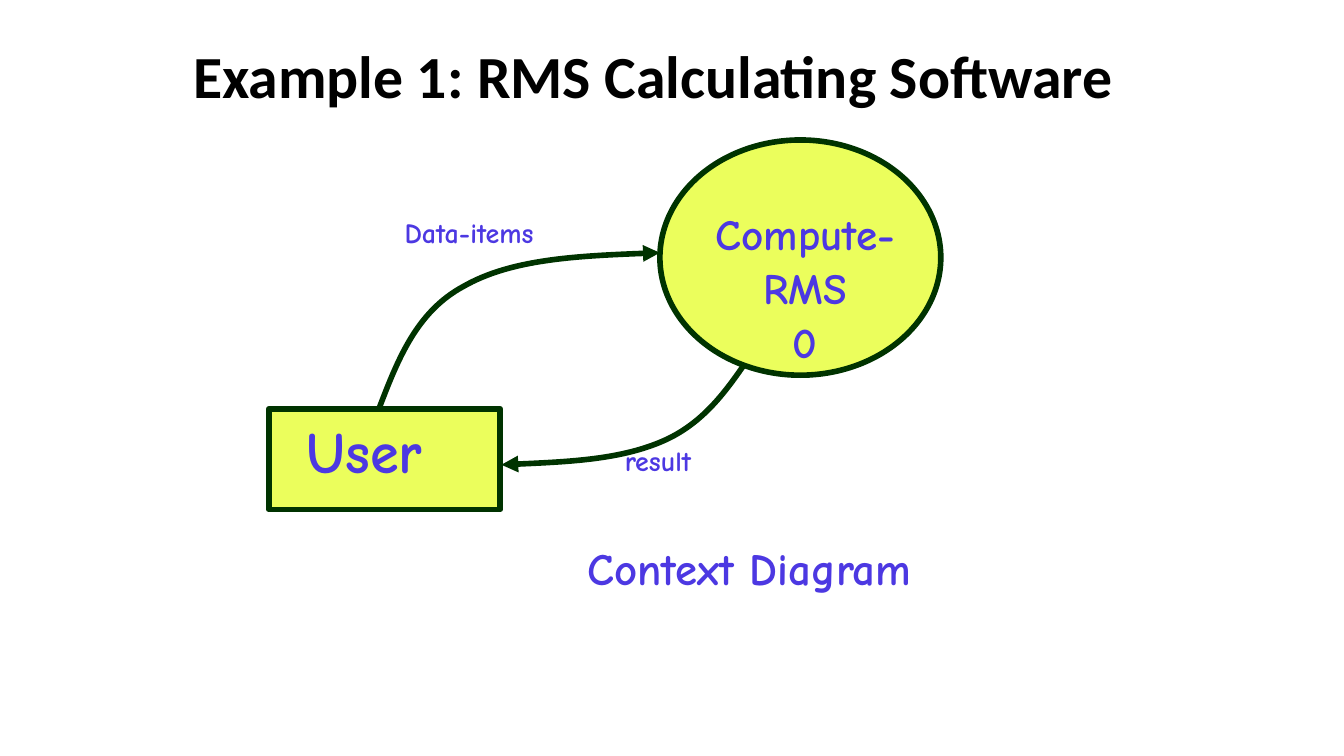
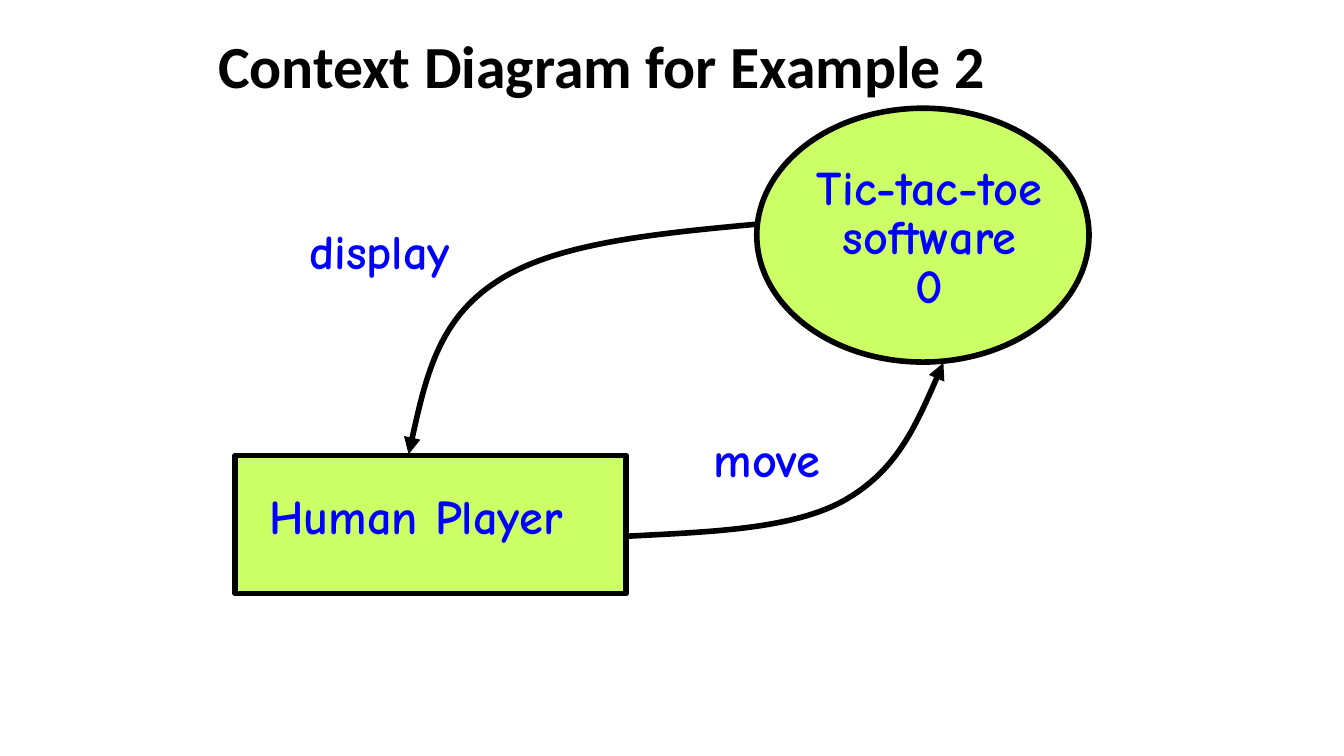
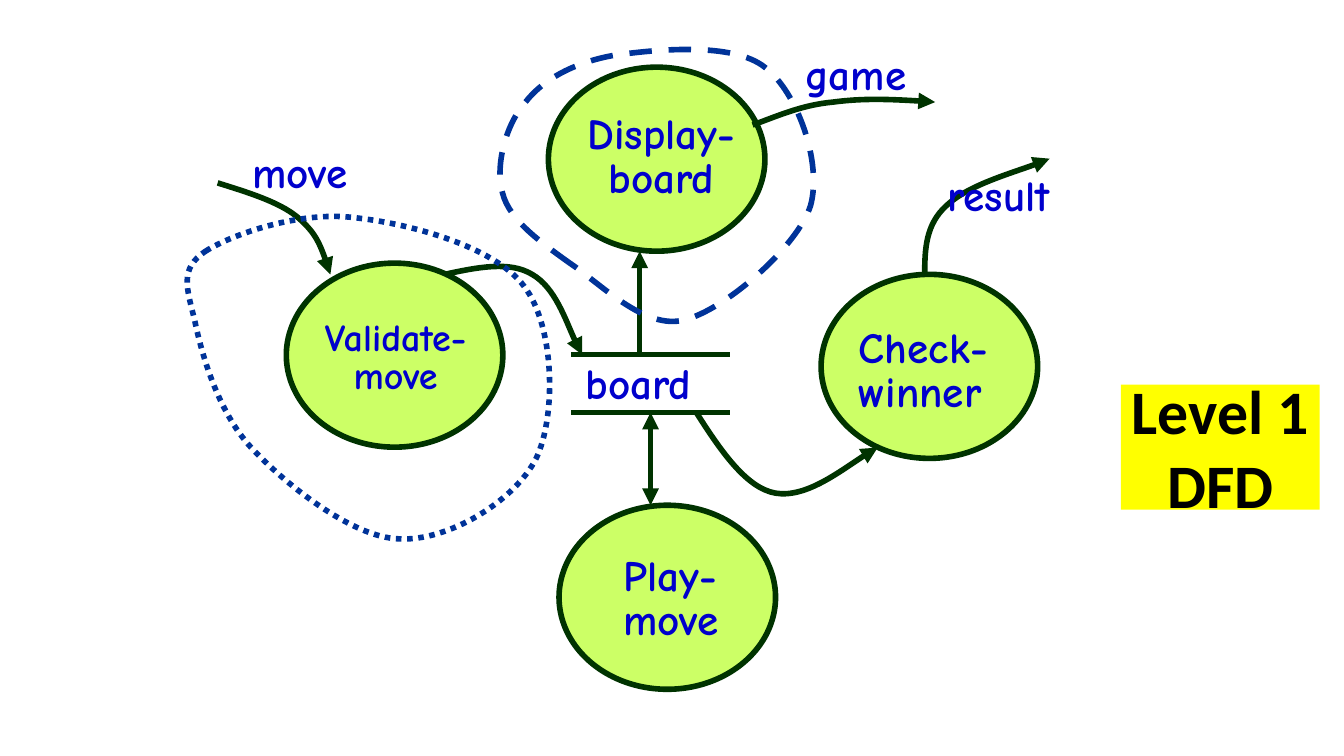
from dataclasses import dataclass

from lxml.etree import SubElement
from pptx import Presentation
from pptx.dml.color import RGBColor
from pptx.enum.dml import MSO_LINE
from pptx.enum.shapes import MSO_CONNECTOR, MSO_SHAPE
from pptx.enum.text import MSO_ANCHOR, MSO_AUTO_SIZE, PP_ALIGN
from pptx.oxml.ns import qn
from pptx.util import Pt

COLORS = {
    "black": "000000", "forest": "003300", "navy": "003399",
    "lemon": "EBFE5C", "lime": "CCFF66", "yellow": "FFFF00",
    "violet": "4C38E2", "blue": "0000FF", "ink": "0000CC",
}
TITLE_FONT, LABEL_FONT = "Calibri", "Comic Neue"
LINE_WIDTH = 3
LEFT, CENTER = PP_ALIGN.LEFT, PP_ALIGN.CENTER


def rgb(name):
    return RGBColor.from_string(COLORS[name])


def write(frame, text, font_name, size, color, align, spacing=1.0):
    """Fill a text frame with one bold paragraph."""
    frame.word_wrap = True
    frame.auto_size = MSO_AUTO_SIZE.NONE
    frame.margin_left = frame.margin_right = Pt(0.7)
    frame.margin_top = frame.margin_bottom = Pt(3)
    paragraph = frame.paragraphs[0]
    paragraph.text = text
    paragraph.alignment = align
    paragraph.line_spacing = spacing
    paragraph.space_before = Pt(0)
    font = paragraph.font
    font.name, font.size, font.bold = font_name, Pt(size), True
    font.color.rgb = rgb(color)


def add_title(slide, text, box, size=32, fill=None):
    title = slide.shapes.title
    title.left, title.top, title.width, title.height = map(Pt, box)
    if fill:
        title.fill.solid()
        title.fill.fore_color.rgb = rgb(fill)
    write(title.text_frame, text, TITLE_FONT, size, "black", CENTER)
    title.text_frame.vertical_anchor = MSO_ANCHOR.MIDDLE


def add_arrowheads(shape, *ends):
    ln = shape.element.spPr.find(qn("a:ln"))
    for end in ends:
        SubElement(ln, qn(f"a:{end}"), type="triangle")


@dataclass
class Diagram:
    """Data flow diagram whose parts are placed from its top left corner."""
    slide: object
    left: float
    top: float
    fill: str
    stroke: str
    ink: str

    def at(self, x, y):
        return Pt(self.left + x), Pt(self.top + y)

    def outline(self, shape, color=None):
        shape.line.width = Pt(LINE_WIDTH)
        shape.line.color.rgb = rgb(color or self.stroke)

    def node(self, preset, x, y, width, height):
        node = self.slide.shapes.add_shape(
            preset, *self.at(x, y), Pt(width), Pt(height))
        node.shadow.inherit = False
        node.fill.solid()
        node.fill.fore_color.rgb = rgb(self.fill)
        self.outline(node)
        return node

    def process(self, *box):
        self.node(MSO_SHAPE.OVAL, *box)

    def entity(self, *box):
        self.node(MSO_SHAPE.ROUNDED_RECTANGLE, *box).adjustments[0] = 0

    def label(self, text, box, size, align=LEFT, spacing=0.85):
        x, y, width, height = box
        label = self.slide.shapes.add_textbox(
            *self.at(x, y), Pt(width), Pt(height))
        write(label.text_frame, text, LABEL_FONT, size, self.ink, align, spacing)

    def curve(self, points, color=None):
        """Bezier through a start point and triples of control points."""
        start, *rest = [self.at(*point) for point in points]
        builder = self.slide.shapes.build_freeform(*start)
        builder.add_line_segments(rest, close=False)
        curve = builder.convert_to_shape()
        outline_path = next(curve.element.iter(qn("a:path")))
        segments = outline_path.findall(qn("a:lnTo"))
        for i in range(0, len(segments), 3):
            bezier = SubElement(outline_path, qn("a:cubicBezTo"))
            for segment in segments[i:i + 3]:
                bezier.append(segment[0])
                outline_path.remove(segment)
        curve.shadow.inherit = False
        curve.fill.background()
        self.outline(curve, color)
        return curve

    def flow(self, points):
        add_arrowheads(self.curve(points), "tailEnd")

    def boundary(self, points, dash):
        self.curve(points + points[:1], "navy").line.dash_style = dash

    def straight(self, start, end, *arrow_ends):
        line = self.slide.shapes.add_connector(
            MSO_CONNECTOR.STRAIGHT, *self.at(*start), *self.at(*end))
        SubElement(line.element.spPr, qn("a:effectLst"))
        self.outline(line)
        add_arrowheads(line, *arrow_ends)


def context_diagram(diagram, process, entity, flows, labels):
    """One process, one outside entity and the flows between them."""
    process_box, *process_label = process
    entity_box, *entity_label = entity
    diagram.process(*process_box)
    diagram.entity(*entity_box)
    diagram.label(*entity_label)
    diagram.label(*process_label)
    for points in flows:
        diagram.flow(points)
    for label in labels:
        diagram.label(*label)


def rms_slide(slide):
    add_title(slide, "Example 1: RMS Calculating Software", (8, 1.5, 684, 77))
    context_diagram(
        Diagram(slide, 144, 75, "lemon", "forest", "violet"),
        process=((209.5, 0, 150.5, 126), "Compute- RMS\n0",
                 (225.4, 31.5, 124, 94), 23.1, CENTER, 1.05),
        entity=((0, 144, 124, 54), "User", (19.4, 150.4, 117.4, 36), 31.3),
        flows=[
            [(59, 144), (69, 118), (79, 92), (104.4, 78.4),
             (129.6, 64), (169.2, 61.8), (209.5, 60.4)],
            [(254.9, 120), (243.4, 136.7), (231, 153.2), (209.5, 162),
             (187.2, 171.2), (155.5, 172.7), (124.6, 174)],
        ],
        labels=[
            ("Data-items", (72, 40.2, 104, 55), 15),
            ("result", (190, 162.6, 78.5, 31), 15),
            ("Context Diagram", (170, 216, 379.4, 36), 24),
        ])


def tic_tac_toe_slide(slide):
    add_title(slide, "Context Diagram for Example 2", (48, 0.7, 549, 68))
    size = 25.9
    context_diagram(
        Diagram(slide, 126, 58, "lime", "black", "blue"),
        process=((279.4, 0, 178, 136), "Tic-tac-toe software\n0",
                 (286.6, 27.7, 170.6, 96), size, CENTER),
        entity=((0, 186, 209.5, 74), "Human Player",
                (17.5, 204, 199, 36.7), size),
        flows=[
            [(278.6, 62.2), (224.6, 67.3), (170.6, 72.3), (139.7, 93.2),
             (108.7, 113.4), (100.8, 149.4), (92.9, 185.4)],
            [(209.5, 229.3), (253.4, 227), (297.4, 225.7), (325.4, 210.6),
             (354.2, 194.7), (366.5, 166), (379.4, 136.4)],
        ],
        labels=[
            ("display", (38.9, 62.2, 139.7, 36.7), size),
            ("move", (255.6, 173.8, 162.7, 36.7), size),
        ])


def level_one_diagram(diagram):
    size = 23.1

    # Processes: corner, name, label offset and width, size, alignment
    processes = [
        ((197.8, 14), "Display-board", (11.5, 22.3), 98, size, CENTER),
        ((203.5, 248.7), "Play-move", (10.8, 24.5), 98, size, CENTER),
        ((57.4, 119), "Validate-move", (3.5, 27.4), 110, 20.4, CENTER),
        ((343.9, 125), "Check-winner", (19.5, 26), 98, size, LEFT),
    ]
    for corner, *_ in processes:
        diagram.process(*corner, 116, 98.6)

    # Board data store
    store_top, store_bottom = 168, 199
    diagram.label("board", (217.2, 170.2, 79, 36.7), size)
    for y in (store_bottom, store_top):
        diagram.straight((210, y), (295, y))

    # Flows
    diagram.straight((246.7, store_top), (246.7, 112.6), "tailEnd")
    diagram.straight((252.5, store_bottom), (252.5, 248.7),
                     "headEnd", "tailEnd")
    for points in [
        # board to check-winner
        [(277, store_bottom), (289.9, 219.2), (303.6, 239.4), (319.4, 242.2),
         (336, 245), (365.5, 222), (374.2, 217.8)],
        # validate-move to board
        [(142.3, 125), (159.6, 121.3), (177, 117.7), (189, 125),
         (201.4, 132), (211.4, 161), (215.8, store_top)],
        # move
        [(20.6, 76), (36.5, 81), (53, 86), (63, 94),
         (73.2, 102.6), (77.5, 113.4), (81, 125)],
        # result
        [(399.4, 125), (399.4, 111.2), (400, 98.2), (411, 88.2),
         (422.4, 77.4), (457, 67.3), (466.3, 63)],
        # game
        [(307.2, 45), (321, 40), (333.8, 34.2), (350.4, 32.7),
         (366.2, 30.6), (385.7, 31.3), (405, 32.7)],
    ]:
        diagram.flow(points)

    # Names of processes and flows
    for (x, y), name, (dx, dy), width, name_size, align in processes:
        diagram.label(name, (x + dx, y + dy, width, 66), name_size, align)
    for name, x, y, width in [("move", 38.6, 57.2, 86),
                              ("result", 411, 69.4, 86),
                              ("game", 334.6, 4.6, 110)]:
        diagram.label(name, (x, y, width, 36.7), size)

    # Boundaries around validate-move and display-board
    diagram.boundary(
        [(14.2, 112.6), (28.6, 103.3), (65.3, 91), (93.4, 94.6),
         (122.2, 97.5), (169, 109.8), (184.8, 131.4), (201.4, 153),
         (202, 201.2), (191.3, 223.5), (179.8, 246.6), (143.8, 268.2),
         (117.8, 266.7), (92.6, 266), (56.6, 237.2), (38.6, 217.8),
         (20.6, 198.3), (12, 167.4), (8.4, 150), (4, 132), (0, 122)],
        MSO_LINE.ROUND_DOT)
    diagram.boundary(
        [(209.3, 119), (193.4, 107.6), (177, 96), (173.3, 81.7),
         (169, 67.3), (174.7, 45), (185.5, 32.7), (195.6, 19.8),
         (213, 11), (233.8, 7.5), (255.4, 4.6), (296.4, 0.3),
         (313.7, 14), (331, 27), (344.6, 65), (338.2, 88.2),
         (331, 110.5), (292, 144.3), (270.5, 149.4), (249.6, 155),
         (225.8, 130)],
        MSO_LINE.DASH)


def level_one_slide(slide):
    add_title(slide, "Level 1 DFD", (600.5, 206, 106.5, 67), 33.1, "yellow")
    level_one_diagram(Diagram(slide, 96, 22, "lime", "forest", "ink"))


def main():
    deck = Presentation()
    deck.slide_width, deck.slide_height = Pt(720), Pt(405)
    title_only = deck.slide_layouts[5]
    for build in (rms_slide, tic_tac_toe_slide, level_one_slide):
        build(deck.slides.add_slide(title_only))
    deck.save("out.pptx")


if __name__ == "__main__":
    main()
